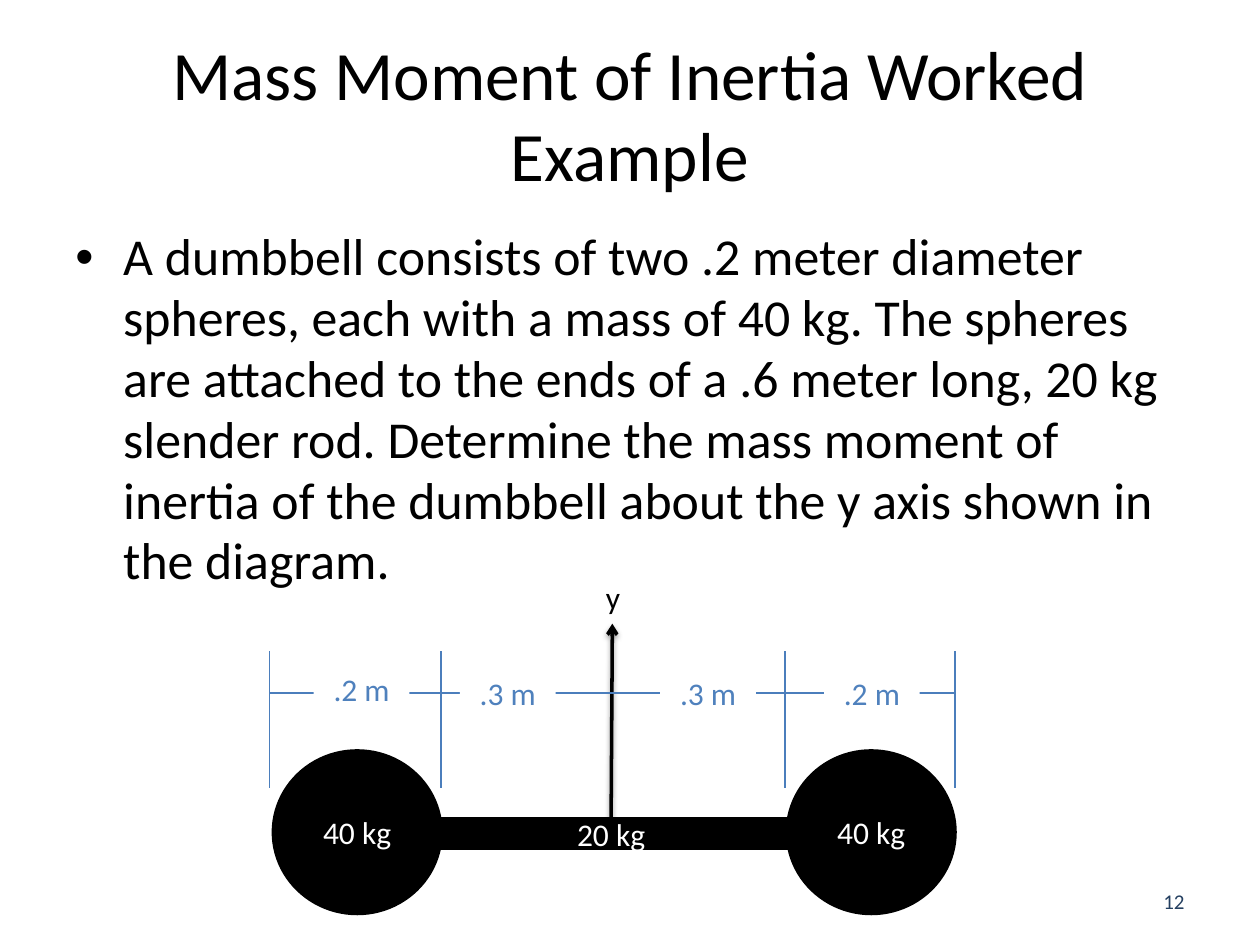
"""Build the dumbbell mass moment of inertia slide."""
from lxml.etree import SubElement
from pptx import Presentation
from pptx.dml.color import RGBColor
from pptx.enum.shapes import MSO_CONNECTOR, MSO_SHAPE
from pptx.enum.text import MSO_ANCHOR, PP_ALIGN
from pptx.oxml.ns import qn
from pptx.util import Inches, Pt

COLORS = {"ink": "000000", "paper": "FFFFFF", "line": "4B7EBC",
          "label": "4F81BD", "number": "254061"}
FONT = "Calibri"
MARGIN, CONTENT_WIDTH = 0.5, 9
DIMENSION_Y, TICK_TOP, TICK_BOTTOM = 5.5, 5.17, 6.25
TICKS = (2.14, 3.5, 6.23, 7.58)
LABEL_WIDTH, LABEL_HEIGHT = 0.76, 0.4
SPHERE_LEFTS = (2.17, 6.25)
PROBLEM = ("A dumbbell consists of two .2 meter diameter spheres, each with a mass "
           "of 40 kg. The spheres are attached to the ends of a .6 meter long, 20 kg "
           "slender rod. Determine the mass moment of inertia of the dumbbell about "
           "the y axis shown in the diagram.")


def color(name):
    """Return a palette colour."""
    return RGBColor.from_string(COLORS[name])


def box(*lengths):
    """Convert lengths in inches."""
    return [Inches(length) for length in lengths]


def write(shape, text, size, color_name, align=PP_ALIGN.CENTER, anchor=MSO_ANCHOR.MIDDLE):
    """Write one formatted run in a shape and return its paragraph."""
    frame = shape.text_frame
    frame.word_wrap = True
    frame.vertical_anchor = anchor
    paragraph = frame.paragraphs[0]
    paragraph.alignment = align
    run = paragraph.add_run()
    run.text = text
    run.font.name = FONT
    run.font.size = Pt(size)
    run.font.color.rgb = color(color_name)
    return paragraph


def add_title(slide, text):
    """Place and fill the title placeholder."""
    title = slide.shapes.title
    title.left, title.top, title.width, title.height = box(MARGIN, 0.3, CONTENT_WIDTH, 1.25)
    write(title, text, 39.6, "ink").line_spacing = 0.98


def add_text(slide, area, text, size, color_name, **layout):
    """Add a text box with one paragraph."""
    return write(slide.shapes.add_textbox(*box(*area)), text, size, color_name, **layout)


def add_bullet(paragraph, indent):
    """Give a paragraph a hanging bullet."""
    properties = paragraph._p.get_or_add_pPr()
    properties.set("marL", str(Inches(indent)))
    properties.set("indent", str(-Inches(indent)))
    SubElement(properties, qn("a:buFont"), typeface="Arial")
    SubElement(properties, qn("a:buChar"), char="•")


def add_block(slide, preset, area, text, fill="ink", text_color="paper",
              outlined=True, anchor=MSO_ANCHOR.MIDDLE):
    """Add a filled shape with a centred label."""
    shape = slide.shapes.add_shape(preset, *box(*area))
    shape.shadow.inherit = False
    shape.fill.solid()
    shape.fill.fore_color.rgb = color(fill)
    if outlined:
        shape.line.color.rgb = color(fill)
        shape.line.width = Pt(2)
    else:
        shape.line.fill.background()
    write(shape, text, 18, text_color, anchor=anchor)


def add_line(slide, start, end, color_name="line", width=0.75):
    """Add a straight line and return it with its empty effect list."""
    line = slide.shapes.add_connector(MSO_CONNECTOR.STRAIGHT, *box(*start, *end))
    line.line.color.rgb = color(color_name)
    line.line.width = Pt(width)
    return line, SubElement(line._element.spPr, qn("a:effectLst"))


def add_axis(slide):
    """Add the shadowed y axis arrow and its name."""
    axis, effects = add_line(slide, (4.85, 6.5), (4.86, 4.95), "ink", 2)
    SubElement(axis.line._get_or_add_ln(), qn("a:tailEnd"), type="arrow")
    shadow = SubElement(effects, qn("a:outerShdw"), blurRad=str(Pt(3.1)),
                        dist=str(Pt(1.6)), dir="5400000", rotWithShape="0")
    shade = SubElement(shadow, qn("a:srgbClr"), val=COLORS["ink"])
    SubElement(shade, qn("a:alpha"), val="38000")
    add_text(slide, (4.61, 4.54, 0.51, 0.4), "y", 18, "ink", anchor=MSO_ANCHOR.TOP)


def add_dimensions(slide):
    """Add the dimension line, its ticks and its labels."""
    for x in TICKS:
        add_line(slide, (x, TICK_BOTTOM), (x, TICK_TOP))
    add_line(slide, (TICKS[0], DIMENSION_Y), (TICKS[-1], DIMENSION_Y))
    for left, top, text in ((2.49, 5.27, ".2 m"), (3.65, 5.3, ".3 m"),
                            (5.24, 5.3, ".3 m"), (6.54, 5.3, ".2 m")):
        add_block(slide, MSO_SHAPE.RECTANGLE, (left, top, LABEL_WIDTH, LABEL_HEIGHT), text,
                  "paper", "label", outlined=False, anchor=MSO_ANCHOR.TOP)


def add_dumbbell(slide):
    """Add the two spheres and the rod."""
    for left in SPHERE_LEFTS:
        add_block(slide, MSO_SHAPE.OVAL, (left, 5.96, 1.33, 1.29), "40 kg")
    add_block(slide, MSO_SHAPE.RECTANGLE, (3.29, 6.5, 3.12, 0.23), "20 kg")


def main():
    """Build and save the slide."""
    presentation = Presentation()
    presentation.slide_width, presentation.slide_height = box(10, 7.5)
    slide = presentation.slides.add_slide(presentation.slide_layouts[5])
    add_title(slide, "Mass Moment of Inertia Worked Example")
    problem = add_text(slide, (MARGIN, 1.75, CONTENT_WIDTH, 2.7), PROBLEM, 29.6, "ink",
                       align=PP_ALIGN.LEFT, anchor=MSO_ANCHOR.TOP)
    add_bullet(problem, 0.38)
    problem.line_spacing = 0.98
    add_text(slide, (7.17, 6.95, 2.33, 0.4), "12", 12, "number", align=PP_ALIGN.RIGHT)
    add_axis(slide)
    add_dumbbell(slide)
    add_dimensions(slide)
    presentation.save("out.pptx")


if __name__ == "__main__":
    main()
